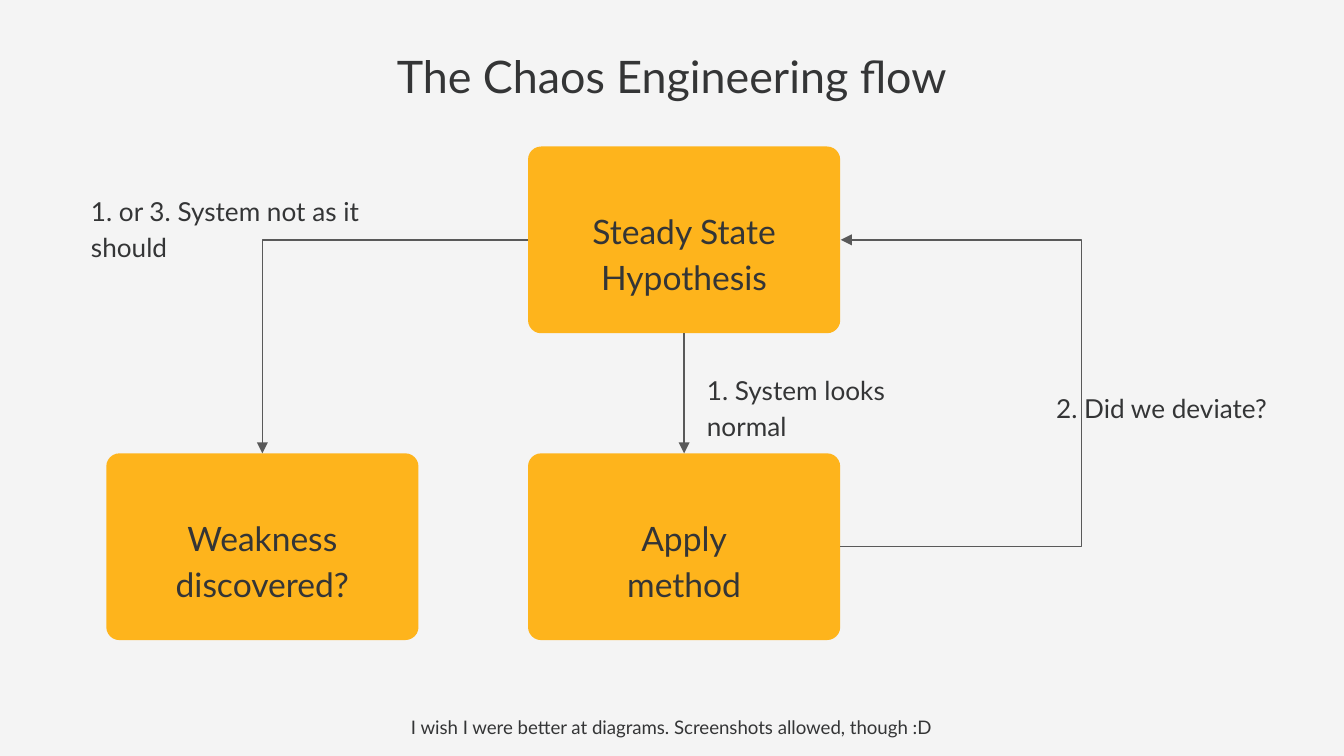
from pptx import Presentation
from pptx.dml.color import RGBColor
from pptx.enum.shapes import MSO_CONNECTOR, MSO_SHAPE
from pptx.enum.text import MSO_ANCHOR, MSO_AUTO_SIZE, PP_ALIGN
from pptx.oxml.ns import qn
from pptx.util import Cm, Pt
from lxml import etree

ROUND = MSO_SHAPE.ROUNDED_RECTANGLE
LINE, ELBOW = MSO_CONNECTOR.STRAIGHT, MSO_CONNECTOR.ELBOW
TOP, MID = MSO_ANCHOR.TOP, MSO_ANCHOR.MIDDLE
LEFT, MIDDLE = PP_ALIGN.LEFT, PP_ALIGN.CENTER
NONE = MSO_AUTO_SIZE.NONE

COLORS = {"back": "F4F4F4", "box": "FEB41C", "text": "343536", "line": "595959"}
FRAME = {"word_wrap": True, "auto_size": NONE, "margin_left": Cm(0.25),
         "margin_right": Cm(0.25), "margin_top": Cm(0.25), "margin_bottom": Cm(0.25)}
PARA = {"line_spacing": 1.15, "space_after": Pt(16), "space_before": Pt(0)}


def color(name):
    return RGBColor.from_string(COLORS[name])


def write(shape, text, size, align, anchor=MID):
    frame = shape.text_frame
    frame.text = text
    for key, val in {**FRAME, "vertical_anchor": anchor}.items():
        setattr(frame, key, val)
    para = frame.paragraphs[0]
    for key, val in {**PARA, "alignment": align}.items():
        setattr(para, key, val)
    for run in para.runs:
        for key, val in {"name": "Lato", "size": Pt(size), "bold": False}.items():
            setattr(run.font, key, val)
        run.font.color.rgb = color("text")


deck = Presentation()
deck.slide_width, deck.slide_height = Cm(25.4), Cm(14.29)
slide = deck.slides.add_slide(deck.slide_layouts[5])
slide.background.fill.solid()
slide.background.fill.fore_color.rgb = color("back")
shapes = slide.shapes

title = shapes.title
place = {"left": Cm(0.86), "top": Cm(0.51), "width": Cm(23.67), "height": Cm(1.96)}
for key, val in place.items():
    setattr(title, key, val)
write(title, "The Chaos Engineering flow", 24, MIDDLE, TOP)

boxes = {}
for name, text, x, y in [
    ("steady", "Steady State\vHypothesis", 9.98, 2.77),
    ("apply", "Apply\vmethod", 9.98, 8.57),
    ("weak", "Weakness\vdiscovered?", 2.01, 8.57),
]:
    box = shapes.add_shape(ROUND, Cm(x), Cm(y), Cm(5.9), Cm(3.53))
    box.adjustments[0] = 0.07
    box.shadow.inherit = False
    box.fill.solid()
    box.fill.fore_color.rgb = color("box")
    box.line.fill.background()
    boxes[name] = box
    label = shapes.add_textbox(Cm(x + 0.57), Cm(y + 0.8), Cm(4.76), Cm(2.36))
    write(label, text, 18, MIDDLE)

for kind, start, out, end, into, preset in [
    (LINE, "steady", 2, "apply", 0, "line"),
    (ELBOW, "steady", 1, "weak", 0, "bentConnector2"),
    (ELBOW, "apply", 3, "steady", 3, "bentConnector3"),
]:
    link = shapes.add_connector(kind, 0, 0, 0, 0)
    link.begin_connect(boxes[start], out)
    link.end_connect(boxes[end], into)
    link.line.width = Pt(0.75)
    link.line.color.rgb = color("line")
    props = link._element.spPr
    etree.SubElement(props.find(qn("a:ln")), qn("a:tailEnd"), type="triangle")
    etree.SubElement(props, qn("a:effectLst"))
    shape = props.find(qn("a:prstGeom"))
    shape.set("prst", preset)
    if out == into:
        link.width = Cm(0.01)
        props.find(qn("a:xfrm")).attrib.pop("flipH", None)
        bend = round(4.56 / 0.01 * 100000)
        etree.SubElement(shape.find(qn("a:avLst")), qn("a:gd"),
                         name="adj1", fmla=f"val {bend}")

for text, x, y, w, h, size, align in [
    ("1. System looks normal", 13.11, 7.16, 5.26, 1.02, 14, LEFT),
    ("2. Did we deviate?", 19.71, 7.16, 5.26, 1.02, 14, LEFT),
    ("1. or 3. System not as it should", 1.47, 3.78, 6.96, 1.02, 14, LEFT),
    ("I wish I were better at diagrams. Screenshots allowed, though :D",
     5.18, 13.34, 15.01, 0.76, 10, MIDDLE),
]:
    note = shapes.add_textbox(Cm(x), Cm(y), Cm(w), Cm(h))
    write(note, text, size, align)

deck.save("out.pptx")
